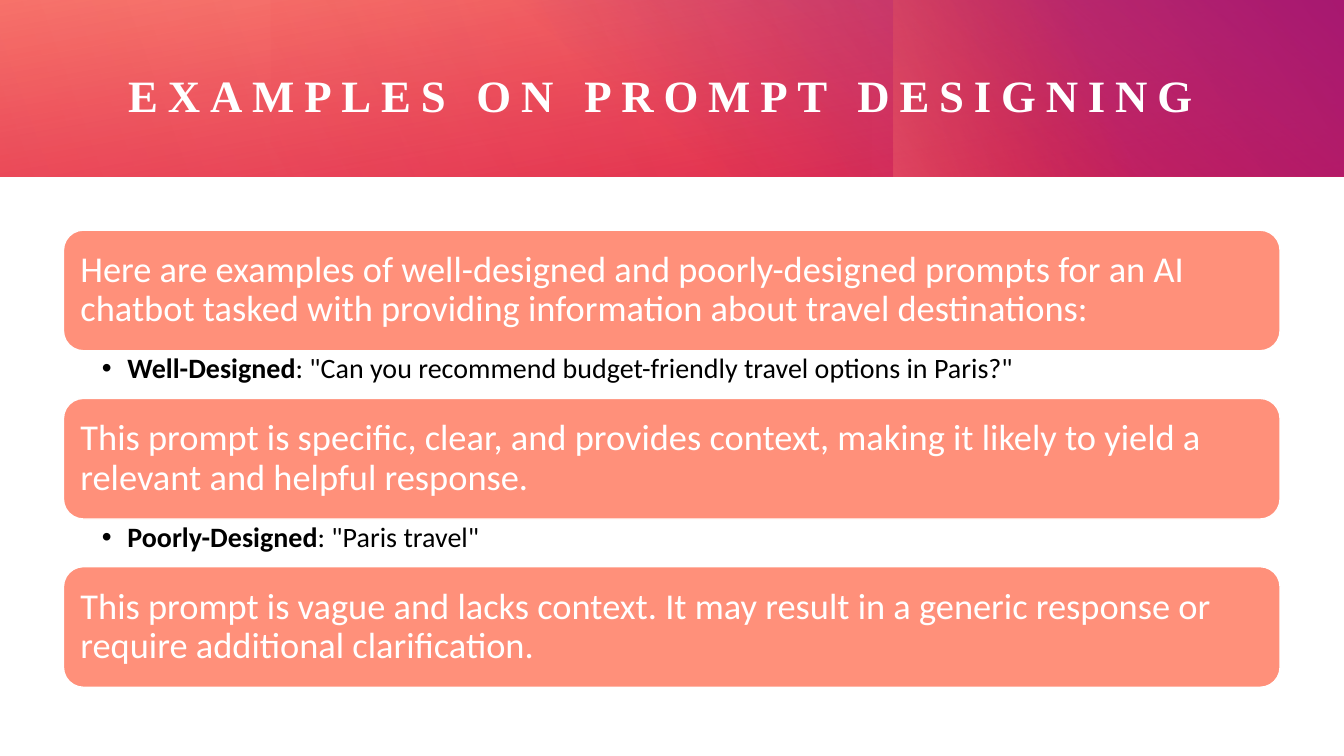
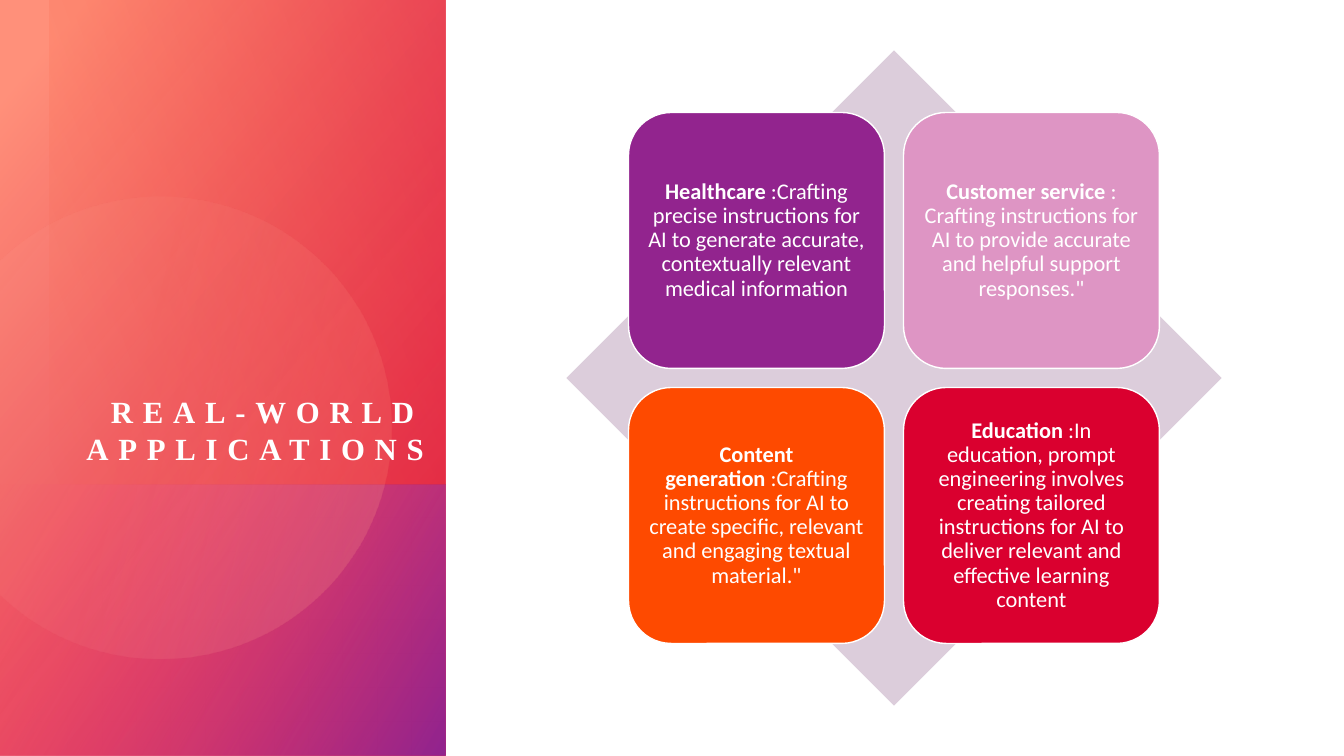
import math

from lxml import etree
from pptx import Presentation
from pptx.dml.color import RGBColor
from pptx.enum import shapes, text
from pptx.oxml.ns import qn
from pptx.util import Cm, Pt

COLORS = {
    "white": "FFFFFF", "black": "000000", "coral": "FF907A", "red": "DA002F",
    "orange": "FE4A00", "purple": "92248E", "pink": "DE95C4", "rose": "FF5076",
    "blush": "FFBCAF", "mauve": "DCCDDB",
}
SLIDE_W, SLIDE_H = 33.87, 19.05
HEADER_H = 4.45
PANEL_W = 11.23
TITLE_FONT = {"name": "Times New Roman", "bold": True}
BODY_FONT = "Calibri"

# Gradient layers: box, (position %, colour, opacity %) stops, clockwise angle
HEADER_LAYERS = [
    ((0, 0, SLIDE_W, HEADER_H), [(0, "red", 83), (100, "coral", 100)], 260),
    ((12.22, 0, 21.65, HEADER_H), [(22, "purple", 0), (99, "purple", 100)], 310),
    ((22.53, 0, 9.5, HEADER_H), [(45, "orange", 0), (99, "coral", 33)], 160),
    ((6.82, 0, 27.05, HEADER_H), [(0, "red", 30), (99, "red", 0)], 150),
    ((0, 0, 21.97, HEADER_H), [(0, "red", 21), (99, "red", 0)], 340),
]
PANEL_LAYERS = [
    ((0, 0, PANEL_W, SLIDE_H), [(8, "coral", 100), (100, "red", 89)], 40),
    ((0, 12.22, PANEL_W, 6.83), [(0, "rose", 0), (99, "purple", 100)], 30),
]
PANEL_GLOW = ((1.26, 0, 9.97, 12.22), [(0, "red", 29), (100, "orange", 0)], 160)

BARS = [
    "Here are examples of well-designed and poorly-designed prompts for an AI "
    "chatbot tasked with providing information about travel destinations:",
    "This prompt is specific, clear, and provides context, making it likely to "
    "yield a relevant and helpful response.",
    "This prompt is vague and lacks context. It may result in a generic response "
    "or require additional clarification.",
]
BULLETS = [
    ("Well-Designed",
     ': "Can you recommend budget-friendly travel options in Paris?"'),
    ("Poorly-Designed", ': "Paris travel"'),
]
CARDS = [
    ("purple", "Healthcare", " :Crafting precise instructions for AI to generate "
     "accurate, contextually relevant medical information"),
    ("pink", "Customer service", " : Crafting instructions for AI to provide "
     'accurate and helpful support responses."'),
    ("orange", "Content generation", " :Crafting instructions for AI to create "
     'specific, relevant and engaging textual material."'),
    ("red", "Education", " :In education, prompt engineering involves creating "
     "tailored instructions for AI to deliver relevant and effective learning "
     "content"),
]


def rgb(name):
    return RGBColor.from_string(COLORS[name])


def set_attrs(obj, values):
    for key, value in values.items():
        setattr(obj, key, value)


def place(sp, x, y, w, h):
    set_attrs(sp, {"left": Cm(x), "top": Cm(y), "width": Cm(w), "height": Cm(h)})


def set_frame(sp, anchor, left=0, top=0, right=0, bottom=0):
    """Set wrapping, anchor and insets of a shape's text."""
    tf = sp.text_frame
    set_attrs(tf, {
        "word_wrap": True, "auto_size": text.MSO_AUTO_SIZE.NONE,
        "vertical_anchor": anchor,
        "margin_left": Cm(left), "margin_top": Cm(top),
        "margin_right": Cm(right), "margin_bottom": Cm(bottom)})
    return tf


def write(tf, runs, size, color, align=text.PP_ALIGN.LEFT, spacing=0.9):
    """Write (text, bold) runs into the first paragraph."""
    p = tf.paragraphs[0]
    set_attrs(p, {"alignment": align, "line_spacing": spacing,
                  "space_before": Pt(0)})
    for words, bold in runs:
        r = p.add_run()
        r.text = words
        set_attrs(r.font, {"name": BODY_FONT, "size": Pt(size), "bold": bold})
        r.font.color.rgb = rgb(color)
    return p


def add_solid(s, kind, box, color, outline=False):
    sp = s.shapes.add_shape(kind, *map(Cm, box))
    sp.shadow.inherit = False
    sp.fill.solid()
    sp.fill.fore_color.rgb = rgb(color)
    if outline:
        sp.line.color.rgb = rgb("white")
        sp.line.width = Pt(1)
    else:
        sp.line.fill.background()
    return sp


def paint_gradient(sp, stops, angle):
    sp.shadow.inherit = False
    sp.line.fill.background()
    sp.fill.gradient()
    sp.fill.gradient_angle = 360 - angle
    for stop, (position, color, _) in zip(sp.fill.gradient_stops, stops):
        stop.position = position / 100
        stop.color.rgb = rgb(color)
    # Opacity of each stop
    grad = sp.element.spPr.find(qn("a:gradFill"))
    for clr, (_, _, opacity) in zip(grad.iter(qn("a:srgbClr")), stops):
        etree.SubElement(clr, qn("a:alpha")).set("val", str(opacity * 1000))


def add_layer(s, box, stops, angle):
    sp = s.shapes.add_shape(shapes.MSO_SHAPE.RECTANGLE, *map(Cm, box))
    paint_gradient(sp, stops, angle)


def add_cut_circle(s, cx, cy, radius, stops, angle):
    """Draw a circle cut off at the slide's left edge."""
    limit = math.acos(-cx / radius)
    steps = 120
    angles = [limit * (2 * i / steps - 1) for i in range(steps + 1)]
    points = [(Cm(cx + radius * math.cos(a)), Cm(cy + radius * math.sin(a)))
              for a in angles]
    fb = s.shapes.build_freeform(*points[0])
    fb.add_line_segments(points[1:], close=True)
    paint_gradient(fb.convert_to_shape(), stops, angle)


def set_title(s, words, box, size, align, anchor):
    sp = s.shapes.title
    place(sp, *box)
    tf = set_frame(sp, anchor)
    p = tf.paragraphs[0]
    p.alignment = align
    r = p.add_run()
    r.text = words
    set_attrs(r.font, {**TITLE_FONT, "size": Pt(size)})
    r.font.color.rgb = rgb("white")
    r.font._element.set("spc", "700")
    s.shapes.element.append(sp.element)  # bring in front of the gradients


def add_bar(s, box, words):
    sp = add_solid(s, shapes.MSO_SHAPE.ROUNDED_RECTANGLE, box, "coral", True)
    tf = set_frame(sp, text.MSO_ANCHOR.MIDDLE, 0.28, 0.28, 0.28, 0.28)
    write(tf, [(words, False)], 26, "white")


def set_bullet(sp, box, label, words):
    place(sp, *box)
    tf = set_frame(sp, text.MSO_ANCHOR.TOP, 0.97, 0.1, 0.5, 0.1)
    p = write(tf, [(label, True), (words, False)], 20, "black")
    pPr = p._p.get_or_add_pPr()
    pPr.set("marL", str(Cm(0.64)))
    pPr.set("indent", str(-Cm(0.64)))


def add_card(s, box, color, label, words):
    sp = add_solid(s, shapes.MSO_SHAPE.ROUNDED_RECTANGLE, box, color, True)
    tf = set_frame(sp, text.MSO_ANCHOR.MIDDLE, 0.18, 0.18, 0.18, 0.18)
    write(tf, [(label, True), (words, False)], 16, "white",
          text.PP_ALIGN.CENTER)


def build_examples(prs):
    s = prs.slides.add_slide(prs.slide_layouts[3])
    # Header band
    for layer in HEADER_LAYERS:
        add_layer(s, *layer)
    set_title(s, "EXAMPLES ON PROMPT DESIGNING", (3.23, 1.04, 28.83, 2.69), 32,
              text.PP_ALIGN.LEFT, text.MSO_ANCHOR.MIDDLE)
    # Bars, with a bullet in each gap
    x, y, w, bar_h, gap = 1.6, 5.8, 30.66, 3.04, 1.2
    tops = [y + i * (bar_h + gap) for i in range(len(BARS))]
    for top, words in zip(tops, BARS):
        add_bar(s, (x, top, w, bar_h), words)
    bodies = list(s.placeholders)
    bodies = [sp for sp in bodies if sp.placeholder_format.idx in (1, 2)]
    for sp, top, bullet in zip(bodies, tops, BULLETS):
        set_bullet(sp, (x, top + bar_h, w, gap), *bullet)


def build_applications(prs):
    s = prs.slides.add_slide(prs.slide_layouts[5])
    # Side panel
    for layer in PANEL_LAYERS:
        add_layer(s, *layer)
    add_cut_circle(s, 4.04, 10.78, 5.82,
                   [(36, "blush", 6), (100, "coral", 26)], 14)
    add_layer(s, *PANEL_GLOW)
    set_title(s, "REAL-WORLD APPLICATIONS", (1.27, 2.41, 9.42, 9.35), 22,
              text.PP_ALIGN.RIGHT, text.MSO_ANCHOR.BOTTOM)
    # Diamond with a two by two grid of cards on its centre
    cx, cy, diamond, card, gap = 22.53, SLIDE_H / 2, 16.51, 6.45, 0.48
    add_solid(s, shapes.MSO_SHAPE.DIAMOND,
              (cx - diamond / 2, cy - diamond / 2, diamond, diamond), "mauve")
    start = card + gap / 2
    for i, content in enumerate(CARDS):
        row, col = divmod(i, 2)
        add_card(s, (cx - start + col * (card + gap),
                     cy - start + row * (card + gap), card, card), *content)


def main():
    prs = Presentation()
    prs.slide_width, prs.slide_height = Cm(SLIDE_W), Cm(SLIDE_H)
    build_examples(prs)
    build_applications(prs)
    prs.save("out.pptx")


if __name__ == "__main__":
    main()
